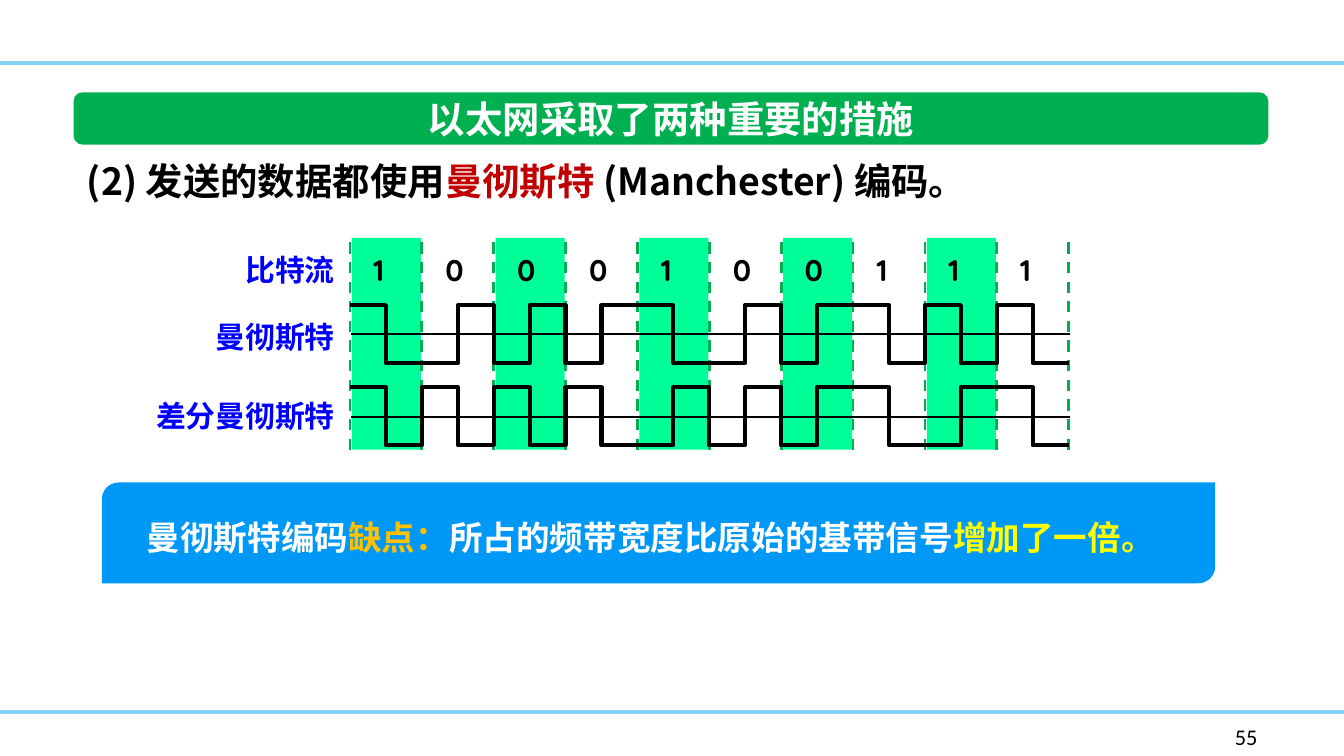
from dataclasses import dataclass

import lxml.etree
import pptx
import pptx.dml.color
import pptx.enum.dml
import pptx.enum.shapes
import pptx.enum.text
import pptx.oxml.ns
import pptx.util

Pt = pptx.util.Pt
RGBColor = pptx.dml.color.RGBColor
Align = pptx.enum.text.PP_ALIGN
Shape = pptx.enum.shapes.MSO_SHAPE

BLACK = RGBColor(0x00, 0x00, 0x00)
WHITE = RGBColor(0xFF, 0xFF, 0xFF)
SKY = RGBColor(0x85, 0xD1, 0xF7)
GREEN = RGBColor(0x00, 0xB0, 0x50)
MINT = RGBColor(0x00, 0xFF, 0x99)
RED = RGBColor(0xC0, 0x00, 0x00)
LABEL_BLUE = RGBColor(0x00, 0x00, 0xFF)
PANEL_BLUE = RGBColor(0x00, 0x98, 0xF6)
ORANGE = RGBColor(0xFF, 0xC0, 0x00)
YELLOW = RGBColor(0xFF, 0xFF, 0x00)

CJK = "Noto Sans CJK SC"
BITS = "1000100111"
GRID_LEFT = 187.5
CELL = 38.5
AMPLITUDE = 31


@dataclass
class Box:
    left: float
    top: float
    width: float
    height: float

    def emu(self) -> tuple:
        return Pt(self.left), Pt(self.top), Pt(self.width), Pt(self.height)


@dataclass
class Style:
    size: float
    font: str = CJK
    bold: bool = True
    align: Align = Align.LEFT
    line_spacing: float | None = None


@dataclass
class Span:
    text: str
    color: RGBColor


@dataclass
class Signal:
    label: str
    label_top: float
    wave_top: float
    axis: float
    levels: list[bool]


def manchester(bits: str) -> list[bool]:
    """Half-bit levels: 1 falls in mid-bit, 0 rises."""
    return [level for bit in bits for level in (bit == "1", bit == "0")]


def differential_manchester(bits: str) -> list[bool]:
    """Half-bit levels: 0 also switches at the start of the bit."""
    levels = []
    level = True
    for bit in bits:
        if bit == "0":
            level = not level
        levels += [level, not level]
        level = not level
    return levels


def write(frame, spans: list[Span], style: Style) -> None:
    frame.word_wrap = True
    frame.auto_size = pptx.enum.text.MSO_AUTO_SIZE.NONE
    frame.vertical_anchor = pptx.enum.text.MSO_ANCHOR.MIDDLE
    paragraph = frame.paragraphs[0]
    paragraph.alignment = style.align
    if style.line_spacing:
        paragraph.line_spacing = Pt(style.line_spacing)
    font = paragraph.font
    font.size = Pt(style.size)
    font.bold = style.bold
    font.name = style.font
    east_asian = lxml.etree.SubElement(font._element, pptx.oxml.ns.qn("a:ea"))
    east_asian.set("typeface", style.font)
    if len(spans) == 1:
        font.color.rgb = spans[0].color
    for span in spans:
        run = paragraph.add_run()
        run.text = span.text
        if len(spans) > 1:
            run.font.color.rgb = span.color


def add_text(slide, box: Box, spans: list[Span], style: Style) -> None:
    write(slide.shapes.add_textbox(*box.emu()).text_frame, spans, style)


def add_panel(slide, kind: Shape, box: Box, color: RGBColor) -> None:
    panel = slide.shapes.add_shape(kind, *box.emu())
    panel.shadow.inherit = False
    panel.fill.solid()
    panel.fill.fore_color.rgb = color
    panel.line.fill.background()


def add_line(slide, start: tuple, end: tuple, color: RGBColor,
             width: float, dashed: bool = False) -> None:
    line = slide.shapes.add_connector(
        pptx.enum.shapes.MSO_CONNECTOR.STRAIGHT, *map(Pt, start + end))
    line.line.color.rgb = color
    line.line.width = Pt(width)
    if dashed:
        line.line.dash_style = pptx.enum.dml.MSO_LINE.DASH
    lxml.etree.SubElement(line._element.spPr, pptx.oxml.ns.qn("a:effectLst"))


def add_wave(slide, signal: Signal) -> None:
    points = []
    for half, high in enumerate(signal.levels):
        y = signal.wave_top + (0 if high else AMPLITUDE)
        for edge in (half, half + 1):
            points.append((Pt(GRID_LEFT + edge * CELL / 2), Pt(y)))
    builder = slide.shapes.build_freeform(*points[0], scale=1.0)
    builder.add_line_segments(points[1:], close=False)
    wave = builder.convert_to_shape()
    wave.shadow.inherit = False
    wave.fill.background()
    wave.line.color.rgb = BLACK
    wave.line.width = Pt(2.25)


def add_label(slide, text: str, top: float) -> None:
    add_text(slide, Box(39.5, top, 147, 26.5), [Span(text, LABEL_BLUE)],
             Style(16, align=Align.RIGHT))


def add_diagram(slide) -> None:
    for index in range(0, len(BITS), 2):
        band = Box(GRID_LEFT + index * CELL + 1, 127.5, 37, 113.5)
        add_panel(slide, Shape.RECTANGLE, band, MINT)
    for index in range(len(BITS) + 1):
        x = GRID_LEFT + index * CELL
        add_line(slide, (x, 241), (x, 126.5), GREEN, 1.5, dashed=True)
    for index, bit in enumerate(BITS):
        digit = Box(GRID_LEFT + index * CELL + 5.5, 131, 27.5, 26.5)
        add_text(slide, digit, [Span(bit, BLACK)], Style(16, "Quicksand"))
    add_label(slide, "比特流", 131)
    signals = [
        Signal("曼彻斯特", 167, 163.5, 178.75, manchester(BITS)),
        Signal("差分曼彻斯特", 209.5, 207.5, 223.25,
               differential_manchester("1" + BITS[1:])),
    ]
    for signal in signals:
        add_label(slide, signal.label, signal.label_top)
        add_wave(slide, signal)
        add_line(slide, (188, signal.axis), (573, signal.axis), BLACK, 1)


def main() -> None:
    presentation = pptx.Presentation()
    presentation.slide_width = Pt(720)
    presentation.slide_height = Pt(405)
    slide = presentation.slides.add_slide(presentation.slide_layouts[5])

    for rule_y in (33.75, 381.5):
        add_line(slide, (0, rule_y), (720, rule_y), SKY, 2)

    add_panel(slide, Shape.ROUNDED_RECTANGLE, Box(39.5, 49.5, 640, 28), GREEN)
    title = slide.shapes.title
    title.left, title.top, title.width, title.height = Box(218, 47.5, 283, 32).emu()
    write(title.text_frame, [Span("以太网采取了两种重要的措施", WHITE)],
          Style(20, align=Align.CENTER))
    # The title belongs in front of its green bar.
    slide.shapes._spTree.append(title._element)

    add_text(slide, Box(39.5, 78, 604, 34.5), [
        Span("(2) 发送的数据都使用", BLACK),
        Span("曼彻斯特 ", RED),
        Span("(Manchester) 编码。", BLACK),
    ], Style(20, line_spacing=27))

    add_diagram(slide)

    add_panel(slide, Shape.ROUND_2_DIAG_RECTANGLE, Box(54.5, 258.5, 596.5, 54), PANEL_BLUE)
    add_text(slide, Box(71.5, 268, 587.5, 34.5), [
        Span("曼彻斯特编码", WHITE),
        Span("缺点：", ORANGE),
        Span("所占的频带宽度比原始的基带信号", WHITE),
        Span("增加了一倍。", YELLOW),
    ], Style(18, line_spacing=27))

    add_text(slide, Box(654.5, 384, 47, 21.5), [Span("55", BLACK)],
             Style(12, "Calibri", bold=False))
    presentation.save("out.pptx")


if __name__ == "__main__":
    main()
